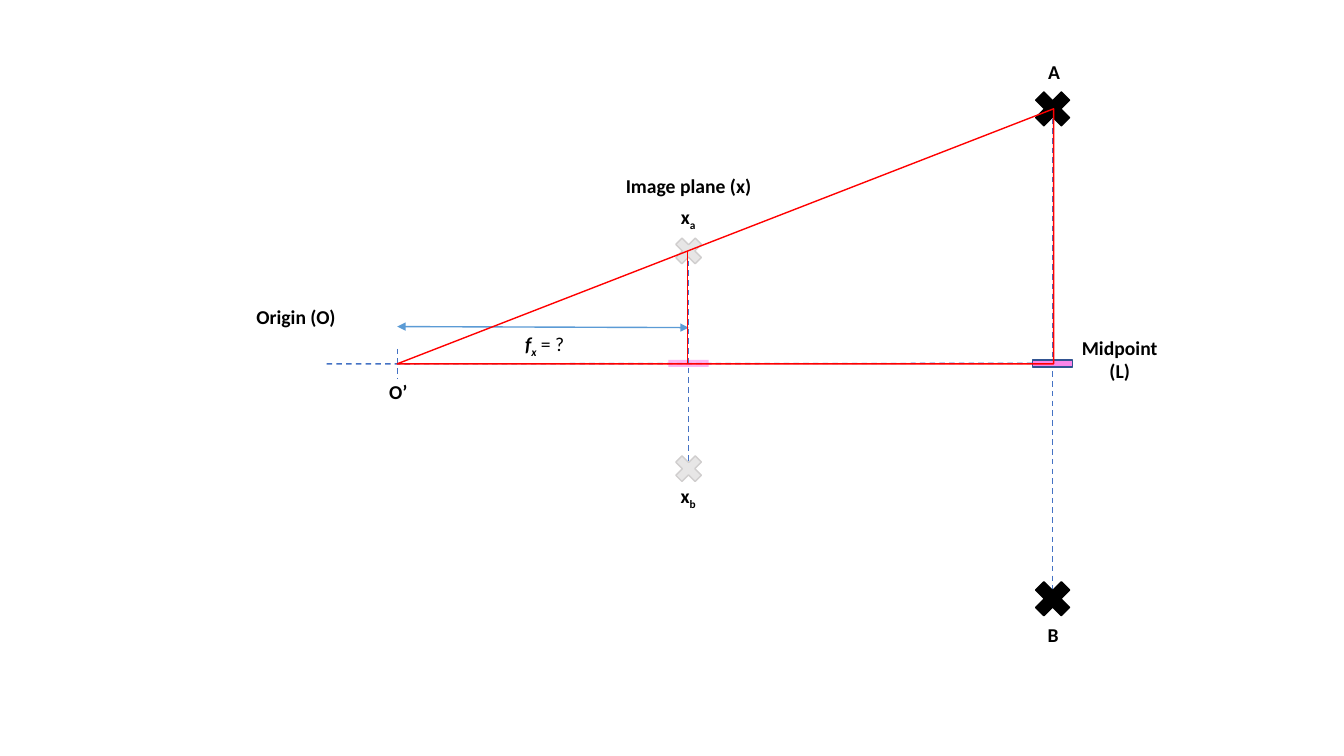
from lxml import etree
from pptx import Presentation
from pptx.dml.color import RGBColor
from pptx.enum import dml, shapes, text
from pptx.oxml import ns
from pptx.util import Pt

PX = 9144  # EMU per px, 100 px to the inch
BLUE, SKY, RED, PINK, BLACK = "4472C4", "5B9BD5", "FF0000", "FA86E9", "000000"
AXIS_Y = 361
ORIGIN_X, IMAGE_X, OBJECT_X = 394, 683, 1044


def px(*values):
    return [round(v * PX) for v in values]


def rgb(color):
    return RGBColor.from_string(color)


def set_line(line, color, dashed=False):
    line.color.rgb = rgb(color)
    line.width = Pt(1)
    if dashed:
        line.dash_style = dml.MSO_LINE.DASH


def add_shape(parent, kind, box, fill=None, line=None, alpha=None):
    sp = parent.add_shape(kind, *px(*box))
    sp.shadow.inherit = False
    if fill:
        sp.fill.solid()
        sp.fill.fore_color.rgb = rgb(fill)
    else:
        sp.fill.background()
    if line:
        set_line(sp.line, line)
    else:
        sp.line.fill.background()
    if alpha:
        color = sp._element.spPr.find(ns.qn("a:solidFill"))[0]
        etree.SubElement(color, ns.qn("a:alpha"), val=str(alpha * 1000))
    return sp


def add_line(parent, start, end, color, dashed=False, arrows=False):
    line = parent.add_connector(shapes.MSO_CONNECTOR.STRAIGHT, *px(*start, *end))
    set_line(line.line, color, dashed)
    if arrows:
        for tag in ("a:headEnd", "a:tailEnd"):
            etree.SubElement(line.line._ln, ns.qn(tag), type="triangle")
    etree.SubElement(line._element.spPr, ns.qn("a:effectLst"))
    return line


def add_text(parent, box, *runs, align=text.PP_ALIGN.CENTER):
    """Each run is a string or a (string, format) pair."""
    tf = parent.add_textbox(*px(*box)).text_frame
    tf.word_wrap = True
    tf.auto_size = text.MSO_AUTO_SIZE.SHAPE_TO_FIT_TEXT
    p = tf.paragraphs[0]
    p.alignment = align
    for run in runs:
        words, style = (run, {}) if isinstance(run, str) else run
        r = p.add_run()
        r.text = words
        r.font.name, r.font.size = "Calibri", Pt(14)
        r.font.color.rgb = rgb(BLACK)
        r.font.bold = style.get("bold", True)
        r.font.italic = style.get("italic", False)
        if style.get("sub"):
            r._r.get_or_add_rPr().set("baseline", "-25000")


def add_plane(parent, x, ends, size, fill, line):
    """Dashed vertical line with a cross centred on each end."""
    add_line(parent, (x, ends[0]), (x, ends[1]), BLUE, dashed=True)
    for y in ends:
        add_shape(parent, shapes.MSO_SHAPE.MATH_MULTIPLY,
                  (x - size / 2, y - size / 2, size, size), fill, line)


def add_marker(parent, x, **style):
    """Pink bar where a plane meets the axis."""
    return add_shape(parent, shapes.MSO_SHAPE.RECTANGLE,
                     (x - 20, AXIS_Y - 4, 40, 7), PINK, **style)


def add_rays(parent, box):
    x, y, w, h = box
    tri = add_shape(parent, shapes.MSO_SHAPE.RIGHT_TRIANGLE, box, line=RED)
    tri._element.spPr.find(ns.qn("a:xfrm")).set("flipH", "1")
    cut = IMAGE_X - 1
    add_line(parent, (cut, y + h - h * (cut - x) / w), (cut, y + h), RED)


def add_labels(parent):
    sub = {"sub": True}
    labels = [
        ((240, 298, 107, 34), "Origin (O)"),
        ((605, 168, 156, 34), "Image plane (x)"),
        ((1001, 55, 89, 34), "A"),
        ((1000, 613, 89, 34), "B"),
        ((369, 372, 52, 34), "O’"),
        ((614, 198, 137, 34), "x", ("a", sub)),
        ((614, 475, 137, 34), "x", ("b", sub)),
        ((1058, 328, 105, 57), "Midpoint (L)"),
    ]
    for box, *runs in labels:
        add_text(parent, box, *runs)
    add_text(parent, (511, 324, 63, 34), ("f", {"italic": True}),
             ("x", {"italic": True, "sub": True}), (" = ?", {"bold": False}),
             align=text.PP_ALIGN.LEFT)


def projection_slide(prs):
    s = prs.slides.add_slide(prs.slide_layouts[6]).shapes
    add_plane(s, OBJECT_X, (108, 594), 49, BLACK, BLACK)
    midpoint = add_marker(s, OBJECT_X, line="325491")
    axis = add_line(s, (1024, AXIS_Y), (321, AXIS_Y), BLUE, dashed=True)
    axis.begin_connect(midpoint, 1)
    add_line(s, (IMAGE_X, 325), (ORIGIN_X, 324), SKY, arrows=True)
    add_marker(s, IMAGE_X, alpha=60)
    add_line(s, (ORIGIN_X, 346), (ORIGIN_X, 375), BLUE, dashed=True)
    add_plane(s.add_group_shape().shapes, IMAGE_X, (249, 465), 37, "E7E6E6", "D0CECE")
    add_rays(s.add_group_shape().shapes, (ORIGIN_X, 108, 651, 253))
    add_labels(s)


def main():
    prs = Presentation()
    prs.slide_width, prs.slide_height = px(1333, 750)
    projection_slide(prs)
    prs.save("out.pptx")


if __name__ == "__main__":
    main()
